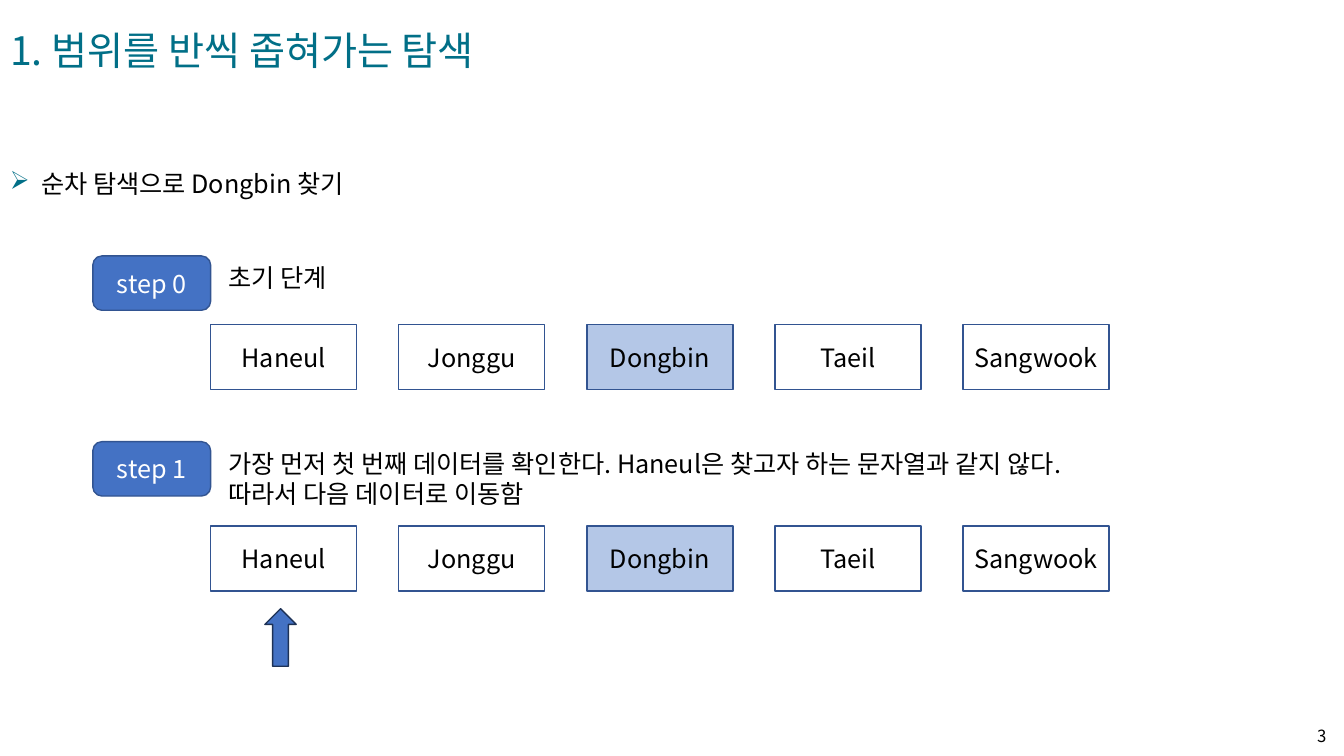
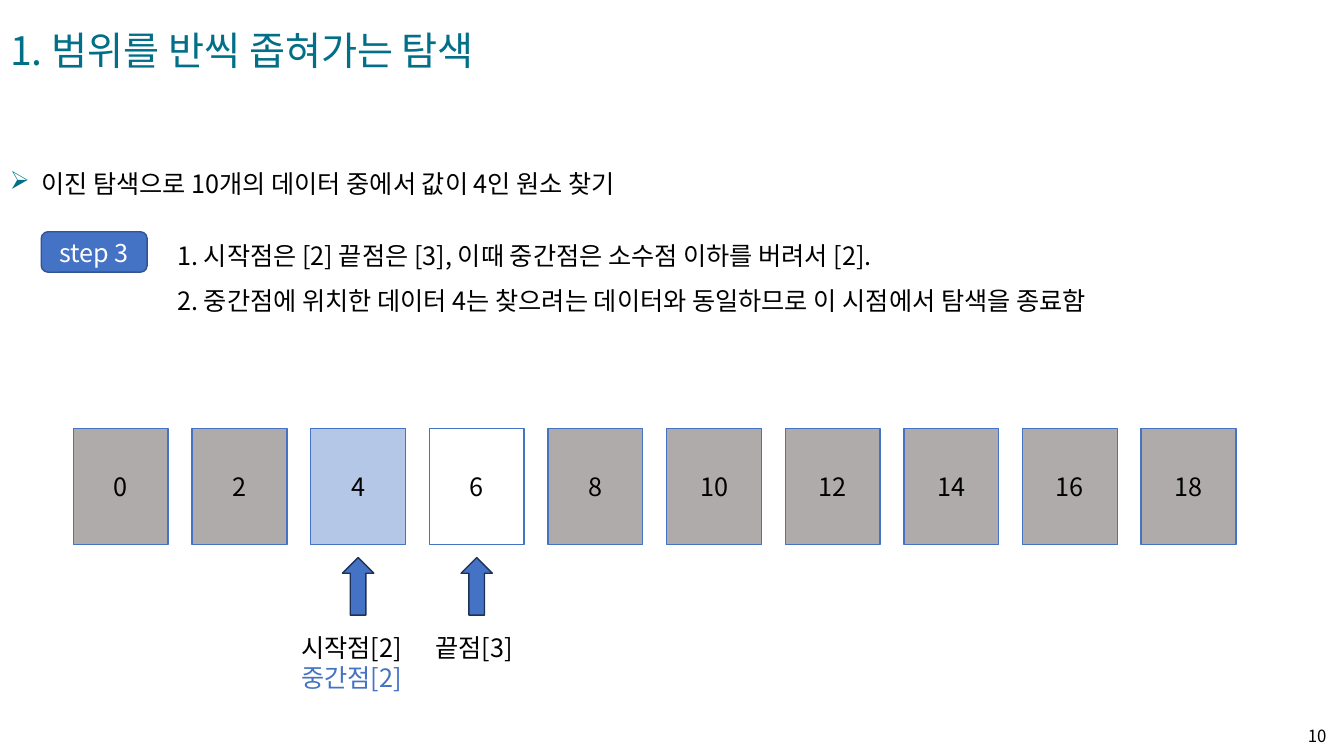
from lxml import etree
from pptx import Presentation
from pptx import util as u
from pptx.dml import color
from pptx.enum import shapes, text
from pptx.oxml import ns

FONT = "Noto Sans CJK KR"
TITLE = "1. 범위를 반씩 좁혀가는 탐색"
TEAL, BLUE, NAVY, DARK = "016F87", "4472C4", "325491", "1E3256"
BLACK, WHITE, LIGHT, GRAY = "000000", "FFFFFF", "B4C7E7", "AFABAB"
NAMES = ["Haneul", "Jonggu", "Dongbin", "Taeil", "Sangwook"]
NAME_FILLS = [LIGHT if name == "Dongbin" else WHITE for name in NAMES]
NUMBERS = [str(number) for number in range(0, 20, 2)]
NUMBER_FILLS = [{"4": LIGHT, "6": WHITE}.get(number, GRAY) for number in NUMBERS]
SHAPE = shapes.MSO_SHAPE
ALIGN = text.PP_ALIGN
ANCHOR = text.MSO_ANCHOR


def rgb(value):
    """Return the colour of a hex string."""
    return color.RGBColor.from_string(value)


def cm(*lengths):
    """Convert several centimetre values."""
    return [u.Cm(length) for length in lengths]


def add_run(paragraph, content, size, colour):
    """Add one run in the shared font, for Latin and Korean alike."""
    run = paragraph.add_run()
    run.text = content
    run.font.size = u.Pt(size)
    run.font.color.rgb = rgb(colour)
    run.font.name = FONT
    properties = run.font._element
    etree.SubElement(properties, ns.qn("a:ea"), typeface=FONT)


def write(frame, lines, size=18, align=ALIGN.LEFT, anchor=ANCHOR.TOP, spacing=1.0):
    """Write (text, colour) pairs as paragraphs; a newline is a line break."""
    frame.auto_size = text.MSO_AUTO_SIZE.NONE
    frame.vertical_anchor = anchor
    for index, (content, colour) in enumerate(lines):
        paragraph = frame.add_paragraph() if index else frame.paragraphs[0]
        paragraph.alignment = align
        paragraph.line_spacing = spacing
        for row, part in enumerate(content.split("\n")):
            if row:
                paragraph.add_line_break()
            add_run(paragraph, part, size, colour)


def add_text(slide, box, lines, wrap=False, **style):
    """Add a text box and return its frame."""
    frame = slide.shapes.add_textbox(*cm(*box)).text_frame
    frame.word_wrap = wrap
    write(frame, lines, **style)
    return frame


def add_shape(slide, kind, box, fill, line, label="", colour=BLACK):
    """Add a filled and outlined shape with an optional centred label."""
    shape = slide.shapes.add_shape(kind, *cm(*box))
    shape.shadow.inherit = False
    shape.fill.solid()
    shape.fill.fore_color.rgb = rgb(fill)
    shape.line.color.rgb = rgb(line)
    shape.line.width = u.Pt(1)
    if label:
        frame = shape.text_frame
        frame.margin_left = frame.margin_right = 0
        write(frame, [(label, colour)], align=ALIGN.CENTER, anchor=ANCHOR.MIDDLE)


def add_badge(slide, box, label):
    """Add a rounded step badge."""
    add_shape(slide, SHAPE.ROUNDED_RECTANGLE, box, BLUE, NAVY, label, WHITE)


def add_cells(slide, first_box, pitch, labels, fills, line):
    """Add a row of equally spaced data cells."""
    left, top, width, height = first_box
    for index, (label, fill) in enumerate(zip(labels, fills)):
        box = (left + index * pitch, top, width, height)
        add_shape(slide, SHAPE.RECTANGLE, box, fill, line, label)


def add_pointer(slide, center, top):
    """Add an upward arrow centred under a cell."""
    width, height = 0.79, 1.45
    add_shape(slide, SHAPE.UP_ARROW, (center - width / 2, top, width, height), BLUE, DARK)


def add_heading(slide, content):
    """Add the bulleted heading below the title."""
    frame = add_text(slide, (0, 3.35, 18.72, 1.6), [(content, BLACK)], wrap=True, spacing=2.0)
    properties = frame.paragraphs[0]._p.get_or_add_pPr()
    properties.set("marL", str(u.Cm(0.79)))
    properties.set("indent", str(u.Cm(-0.79)))
    bullet_colour = etree.SubElement(properties, ns.qn("a:buClr"))
    etree.SubElement(bullet_colour, ns.qn("a:srgbClr"), val=TEAL)
    etree.SubElement(properties, ns.qn("a:buChar"), char="➢")


def add_slide(presentation, number, heading):
    """Add a slide with the shared title, heading and page number."""
    slide = presentation.slides.add_slide(presentation.slide_layouts[5])
    title = slide.shapes.title
    title.left, title.top, title.width, title.height = cm(0, 0.53, 12.62, 1.45)
    title.text_frame.word_wrap = False
    write(title.text_frame, [(TITLE, TEAL)], size=28)
    add_heading(slide, heading)
    add_text(slide, (32.23, 18.03, 1.45, 1.02), [(str(number), BLACK)], wrap=True,
             size=12, align=ALIGN.RIGHT, anchor=ANCHOR.MIDDLE)
    return slide


def build_sequential(presentation):
    """Build the sequential search slide."""
    slide = add_slide(presentation, 3, "순차 탐색으로 Dongbin 찾기")
    steps = [
        (6.45, 8.18, 3.1, 1.02, "초기 단계"),
        (11.13, 13.26, 22.71, 1.8,
         "가장 먼저 첫 번째 데이터를 확인한다. Haneul은 찾고자 하는 문자열과 같지 않다. \n"
         "따라서 다음 데이터로 이동함"),
    ]
    for index, (top, cell_top, width, height, note) in enumerate(steps):
        add_badge(slide, (2.34, top, 2.97, 1.37), f"step {index}")
        add_text(slide, (5.51, top + 0.03, width, height), [(note, BLACK)])
        add_cells(slide, (5.31, cell_top, 3.68, 1.63), 4.74, NAMES, NAME_FILLS, NAVY)
    add_pointer(slide, 7.07, 15.34)


def build_binary(presentation):
    """Build the binary search slide."""
    slide = add_slide(presentation, 10, "이진 탐색으로 10개의 데이터 중에서 값이 4인 원소 찾기")
    add_badge(slide, (1.04, 5.84, 2.67, 1.02), "step 3")
    add_text(slide, (4.22, 5.54, 24.49, 2.46), [
        ("1. 시작점은 [2] 끝점은 [3], 이때 중간점은 소수점 이하를 버려서 [2].", BLACK),
        ("2. 중간점에 위치한 데이터 4는 찾으려는 데이터와 동일하므로 이 시점에서 탐색을 종료함", BLACK),
    ], spacing=1.5)
    left, width, pitch = 1.85, 2.39, 2.99
    add_cells(slide, (left, 10.8, width, 2.92), pitch, NUMBERS, NUMBER_FILLS, BLUE)
    for index in (2, 3):
        add_pointer(slide, left + index * pitch + width / 2, 14.05)
    add_text(slide, (7.34, 15.8, 3.4, 1.8), [("시작점[2]", BLACK), ("중간점[2]", BLUE)])
    add_text(slide, (10.72, 15.8, 2.77, 1.02), [("끝점[3]", BLACK)])


def main():
    """Build and save the presentation."""
    presentation = Presentation()
    presentation.slide_width, presentation.slide_height = cm(33.87, 19.05)
    build_sequential(presentation)
    build_binary(presentation)
    presentation.save("out.pptx")


if __name__ == "__main__":
    main()
